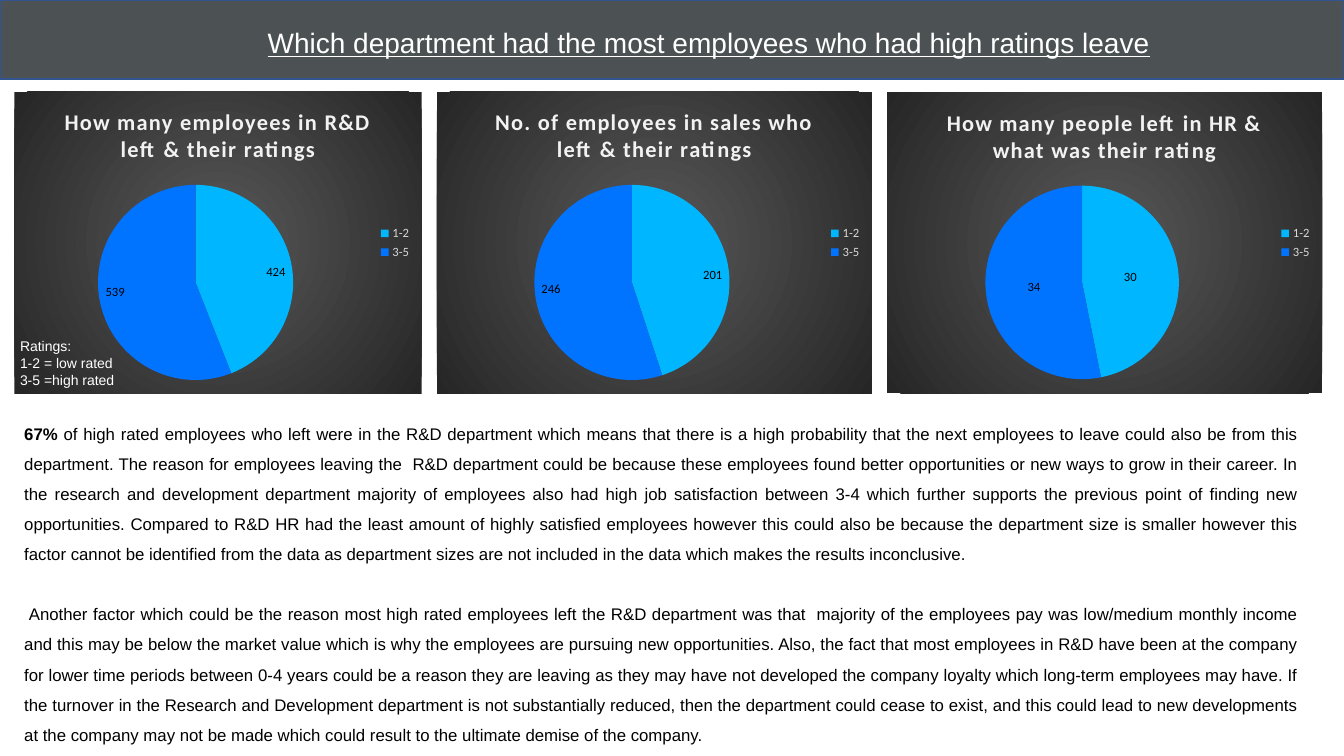
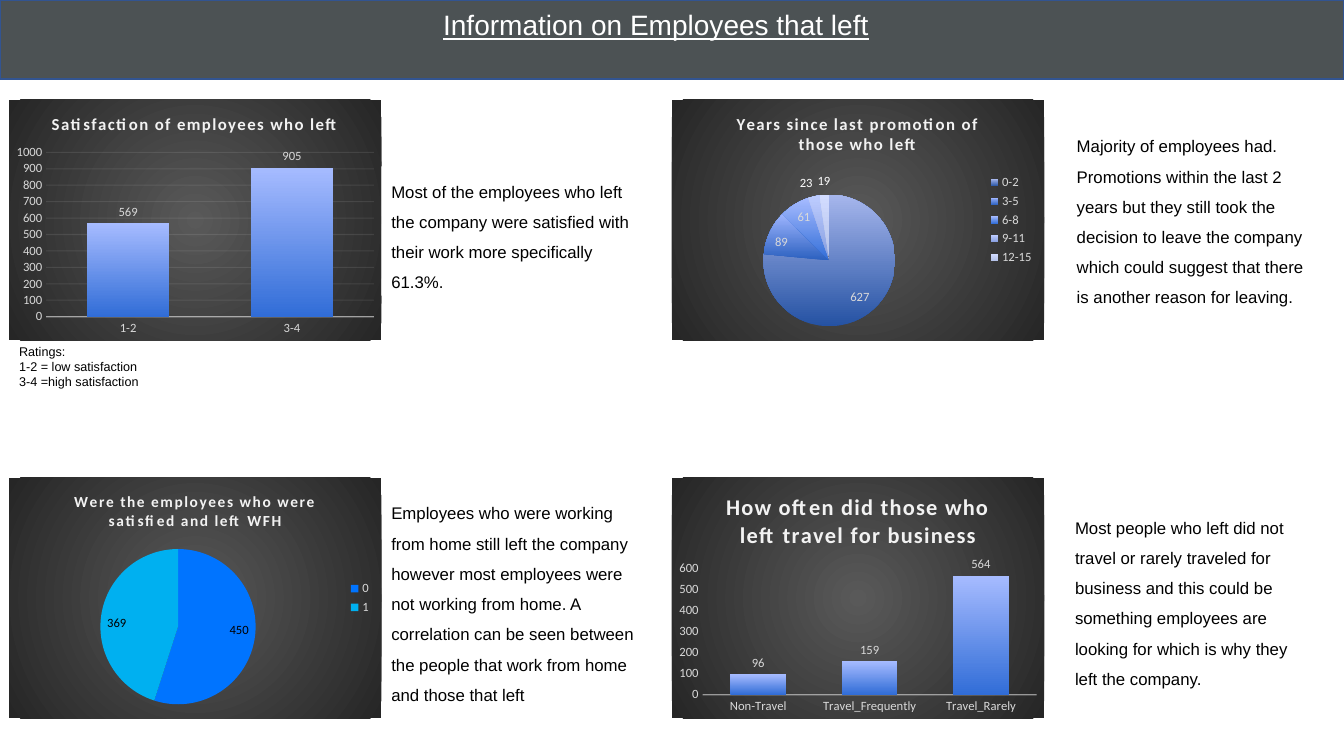
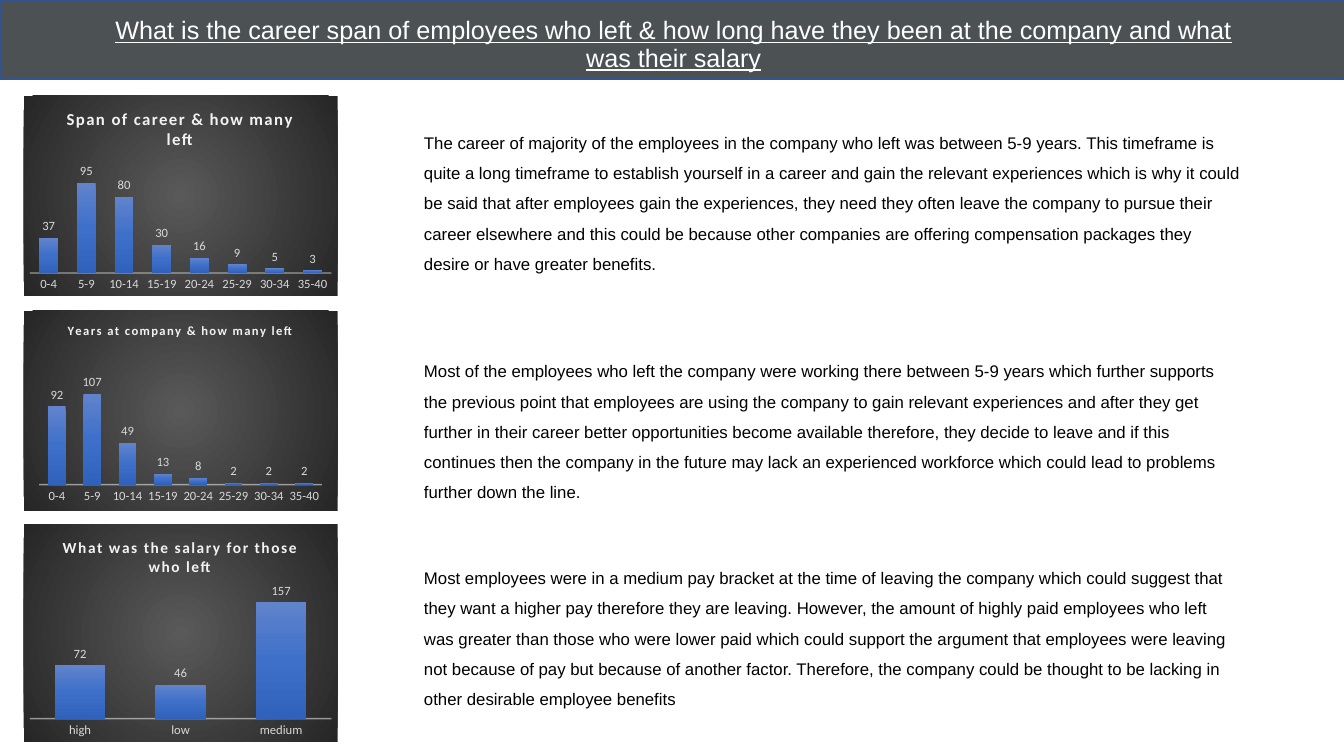
from dataclasses import dataclass

from lxml.etree import SubElement as Sub
from pptx import Presentation
from pptx.chart.data import CategoryChartData as Data
from pptx.dml.color import RGBColor as Rgb
from pptx.enum.chart import XL_CHART_TYPE as Kind
from pptx.enum.chart import XL_LABEL_POSITION as Spot
from pptx.enum.chart import XL_LEGEND_POSITION as Side
from pptx.enum.chart import XL_TICK_MARK as Tick
from pptx.enum.shapes import MSO_SHAPE as Form
from pptx.enum.text import MSO_ANCHOR as Anchor
from pptx.enum.text import MSO_AUTO_SIZE as Fit
from pptx.enum.text import PP_ALIGN as Align
from pptx.oxml.ns import qn
from pptx.util import Pt

SCALE = 7620  # EMU in a px, 120 px to the inch
WIDE, HIGH = 1600, 900
BAND, EDGE = "4C5254", "325491"
WHITE, BLACK, PALE, SOFT = "FFFFFF", "000000", "F2F2F2", "D9D9D9"
DARK = ("595959", "262626")
GLOW = ("316DD7", "A6BBFF")
STEEL = ("6183CB", "3E70CA", "3062BB")
SKY, BLUE, CYAN = "00B7FF", "0074FF", "00B0F0"
SHADES = (("2552A3", "A6B6EC"), ("2B60BF", "9DB4FE"), GLOW,
          ("859DDE", "BDCCFF"), ("B4C1E8", "D2DCFF"))
RATED = ("1-2", "3-5")
SPANS = ("0-4", "5-9", "10-14", "15-19", "20-24", "25-29", "30-34", "35-40")

Box = tuple[int, int, int, int]
Run = tuple[str, bool]


@dataclass
class Graph:
    title: str
    box: Box
    cats: tuple
    vals: tuple
    size: float = 16


@dataclass
class Pie(Graph):
    fills: tuple = (SKY, BLUE)
    ink: str = BLACK
    spot: Spot = Spot.INSIDE_END
    outer: tuple = ()


@dataclass
class Bars(Graph):
    top: int = 120
    step: int = 0
    grid: bool = False
    fill: tuple = STEEL
    angle: int = 90
    inner: tuple = ()


@dataclass
class Note:
    box: Box
    paras: list[list[Run]]
    size: float = 12
    ink: str = BLACK
    gap: float = 1.5
    align: Align = Align.LEFT
    before: float = 0
    fill: str = ""


@dataclass
class Page:
    title: str
    box: Box
    size: float
    graphs: list
    notes: list[Note]


def px(*nums: int) -> list[int]:
    return [num * SCALE for num in nums]


def tint(text: str) -> Rgb:
    return Rgb.from_string(text)


def style(font, size: float, ink: str, face: str = "Calibri", bold: bool = False) -> None:
    font.name, font.size, font.bold = face, Pt(size), bold
    font.color.rgb = tint(ink)


def blend(props, stops: tuple, angle: int | None = None) -> None:
    """Fill shape properties with a gradient, round when no angle is given."""
    grad = Sub(props, qn("a:gradFill"), rotWithShape="1")
    props.insert(0, grad)
    row = Sub(grad, qn("a:gsLst"))
    for num, stop in enumerate(stops):
        mark = Sub(row, qn("a:gs"), pos=str(100000 * num // (len(stops) - 1)))
        Sub(mark, qn("a:srgbClr"), val=stop)
    if angle is None:
        ring = Sub(grad, qn("a:path"), path="circle")
        Sub(ring, qn("a:fillToRect"), l="50000", t="50000", r="50000", b="50000")
    else:
        Sub(grad, qn("a:lin"), ang=str(angle * 60000), scaled="0")


def paint(part, fill: str | tuple, angle: int = 270) -> None:
    if isinstance(fill, str):
        part.fill.solid()
        part.fill.fore_color.rgb = tint(fill)
    else:
        blend(part._element.get_or_add_spPr(), fill, angle)


def rule(line, width: float, alpha: int) -> None:
    line.width = Pt(width)
    line.color.rgb = tint(PALE)
    Sub(line._ln.find(".//" + qn("a:srgbClr")), qn("a:alpha"), val=str(alpha * 1000))


def place(chart, inner: tuple) -> None:
    """Fix the inner plot area as shares of the chart."""
    area = chart._chartSpace.find(".//" + qn("c:plotArea"))
    old = area.find(qn("c:layout"))
    if old is not None:
        area.remove(old)
    lay = Sub(area, qn("c:layout"))
    area.insert(0, lay)
    man = Sub(lay, qn("c:manualLayout"))
    keys = ("layoutTarget", "xMode", "yMode", "x", "y", "w", "h")
    for key, val in zip(keys, ("inner", "edge", "edge", *inner)):
        Sub(man, qn("c:" + key), val=str(val))


def add_graph(slide, graph: Graph, kind: Kind):
    """Add what pies and bars share and return the chart."""
    data = Data()
    data.categories = graph.cats
    data.add_series("Series 1", graph.vals)
    chart = slide.shapes.add_chart(kind, *px(*graph.box), data).chart
    style(chart.font, 10, BLACK)
    chart.has_title = True
    run = chart.chart_title.text_frame.paragraphs[0].add_run()
    run.text = graph.title
    style(run.font, graph.size, PALE, bold=True)
    run.font._element.set("spc", "100")
    back = Sub(chart._chartSpace, qn("c:spPr"))
    chart._chartSpace.find(qn("c:chart")).addnext(back)
    blend(back, DARK)
    Sub(Sub(back, qn("a:ln")), qn("a:noFill"))
    chart.has_legend = False
    return chart


def label(chart, ink: str, spot: Spot) -> None:
    tags = chart.plots[0].series[0].data_labels
    tags.show_value = True
    tags.position = spot
    style(tags.font, 9, ink)


def add_pie(slide, pie: Pie) -> None:
    chart = add_graph(slide, pie, Kind.PIE)
    chart.has_legend = True
    chart.legend.position = Side.RIGHT
    chart.legend.include_in_layout = False
    style(chart.legend.font, 9, SOFT)
    chart.plots[0].vary_by_categories = True
    label(chart, pie.ink, pie.spot)
    points = chart.plots[0].series[0].points
    for num, fill in enumerate(pie.fills):
        paint(points[num].format, fill)
    for num in pie.outer:
        tag = points[num].data_label
        style(tag.font, 9, WHITE)
        tag.position = Spot.OUTSIDE_END


def add_bars(slide, bars: Bars) -> None:
    chart = add_graph(slide, bars, Kind.COLUMN_CLUSTERED)
    plot = chart.plots[0]
    plot.vary_by_categories = False
    plot.gap_width, plot.overlap = 100, -24
    paint(plot.series[0].format, bars.fill, bars.angle)
    label(chart, SOFT, Spot.OUTSIDE_END)
    base, rise = chart.category_axis, chart.value_axis
    for axis in (base, rise):
        axis.major_tick_mark = axis.minor_tick_mark = Tick.NONE
        style(axis.tick_labels.font, 9, SOFT)
    rule(base.format.line, 1, 54)
    rise.minimum_scale, rise.maximum_scale = 0, bars.top
    rise.has_major_gridlines = bars.grid
    if bars.grid:
        rule(rise.major_gridlines.format.line, 0.75, 10)
    rise.format.line.fill.background()
    if bars.step:
        rise.major_unit = bars.step
    else:
        rise.visible = False
    if bars.inner:
        place(chart, bars.inner)


def add_note(slide, note: Note) -> None:
    shape = slide.shapes.add_textbox(*px(*note.box))
    if note.fill:
        paint(shape, note.fill)
    frame = shape.text_frame
    frame.word_wrap = True
    for num, runs in enumerate(note.paras):
        para = frame.add_paragraph() if num else frame.paragraphs[0]
        para.alignment, para.line_spacing = note.align, note.gap
        para.space_before = Pt(note.before if num else 0)
        for text, bold in runs:
            run = para.add_run()
            run.text = text
            style(run.font, note.size, note.ink, "Arial", bold)


def add_head(slide, page: Page) -> None:
    band = slide.shapes.add_shape(Form.RECTANGLE, *px(0, 0, WIDE, 94))
    band.shadow.inherit = False
    paint(band, BAND)
    band.line.color.rgb, band.line.width = tint(EDGE), Pt(1)
    head = slide.shapes.title
    head._element.addprevious(band._element)
    head.left, head.top, head.width, head.height = px(*page.box)
    frame = head.text_frame
    frame.word_wrap, frame.auto_size = True, Fit.NONE
    frame.vertical_anchor = Anchor.MIDDLE
    para = frame.paragraphs[0]
    para.alignment, para.line_spacing = Align.CENTER, 0.9
    run = para.add_run()
    run.text = page.title
    style(run.font, page.size, WHITE, "Arial")
    run.font.underline = True


def plain(*lines: str) -> list[list[Run]]:
    return [[(line, False)] for line in lines]


def cell(col: int, row: int) -> Box:
    return 11 + 789 * col, 119 + 450 * row, 443, 286


LEAVE = [
    [("67% ", True), (
        "of high rated employees who left were in the R&D department which means that there is a high "
        "probability that the next employees to leave could also be from this department. The reason for "
        "employees leaving the  R&D department could be because these employees found better opportunities "
        "or new ways to grow in their career. In the research and development department majority of "
        "employees also had high job satisfaction between 3-4 which further supports the previous point of "
        "finding new opportunities. Compared to R&D HR had the least amount of highly satisfied employees "
        "however this could also be because the department size is smaller however this factor cannot be "
        "identified from the data as department sizes are not included in the data which makes the results "
        "inconclusive.", False)],
    [(
        " Another factor which could be the reason most high rated employees left the R&D department was "
        "that  majority of the employees pay was low/medium monthly income and this may be below the market "
        "value which is why the employees are pursuing new opportunities. Also, the fact that most employees "
        "in R&D have been at the company for lower time periods between 0-4 years could be a reason they are "
        "leaving as they may have not developed the company loyalty which long-term employees may have. If "
        "the turnover in the Research and Development department is not substantially reduced, then the "
        "department could cease to exist, and this could lead to new developments at the company may not be "
        "made which could result to the ultimate demise of the company.", False)],
]

PAGES = [
    Page("Which department had the most employees who had high ratings leave", (154, 14, 1380, 78), 20, [
        Pie("How many employees in R&D left & their ratings", (17, 109, 485, 360), RATED, (424, 539)),
        Pie("No. of employees in sales who left & their ratings", (520, 109, 518, 360), RATED, (201, 246)),
        Pie("How many people left in HR & what was their rating", (1056, 110, 518, 358), RATED, (30, 34),
            spot=Spot.CENTER),
    ], [
        Note((12, 396, 140, 73), plain("Ratings:", "1-2 = low rated", "3-5 =high rated"), 10, WHITE, 1),
        Note((17, 486, 1542, 408), LEAVE, align=Align.JUSTIFY, before=21),
    ]),
    Page("Information on Employees that left", (91, -11, 1380, 86), 20, [
        Bars("Satisfaction of employees who left", cell(0, 0), ("1-2", "3-4"), (569, 905), 12,
             top=1000, step=100, grid=True, fill=GLOW, angle=270),
        Pie("Years since last promotion of those who left", cell(1, 0),
            ("0-2", "3-5", "6-8", "9-11", "12-15"), (627, 89, 61, 23, 19), 12,
            fills=SHADES, ink=SOFT, outer=(3, 4)),
        Pie("Were the employees who were satisfied and left WFH", cell(0, 1), ("0", "1"), (450, 369), 11,
            fills=(BLUE, CYAN)),
        Bars("How often did those who left travel for business", cell(1, 1),
             ("Non-Travel", "Travel_Frequently", "Travel_Rarely"), (96, 159, 564),
             top=600, step=100, fill=GLOW, angle=270),
    ], [
        Note((454, 198, 320, 154), plain(
            "Most of the employees who left the company were satisfied with their work more specifically "
            "61.3%."), fill=WHITE),
        Note((1268, 598, 301, 227), plain(
            "Most people who left did not travel or rarely traveled for business and this could be something "
            "employees are looking for which is why they left the company.")),
        Note((1270, 144, 301, 227), plain(
            "Majority of employees had. Promotions within the last 2 years but they still took the decision "
            "to leave the company which could suggest that there is another reason for leaving."), fill=WHITE),
        Note((454, 581, 320, 262), plain(
            "Employees who were working from home still left the company however most employees were not "
            "working from home. A correlation can be seen between the people that work from home and those "
            "that left")),
        Note((11, 403, 175, 67), plain("Ratings:", "1-2 = low satisfaction", "3-4 =high satisfaction"),
             9, gap=1),
    ]),
    Page("What is the career span of employees who left & how long have they been at the company and what "
         "was their salary", (112, 0, 1380, 108), 18, [
        Bars("Span of career & how many left", (28, 114, 374, 238), SPANS,
             (37, 95, 80, 30, 16, 9, 5, 3), 12),
        Bars("Years at company & how many left", (28, 370, 374, 238), SPANS,
             (92, 107, 49, 13, 8, 2, 2, 2), 9, inner=(0.05, 0.36, 0.9, 0.51)),
        Bars("What was the salary for those who left", (28, 624, 374, 259), ("high", "low", "medium"),
             (72, 46, 157), 11, top=180),
    ], [
        Note((493, 140, 998, 190), plain(
            "The career of majority of the employees in the company who left was between 5-9 years. This "
            "timeframe is quite a long timeframe to establish yourself in a career and gain the relevant "
            "experiences which is why it could be said that after employees gain the experiences, they need "
            "they often leave the company to pursue their career elsewhere and this could be because other "
            "companies are offering compensation packages they desire or have greater benefits.")),
        Note((493, 412, 998, 190), plain(
            "Most of the employees who left the company were working there between 5-9 years which further "
            "supports the previous point that employees are using the company to gain relevant experiences "
            "and after they get further in their career better opportunities become available therefore, "
            "they decide to leave and if this continues then the company in the future may lack an "
            "experienced workforce which could lead to problems further down the line.")),
        Note((493, 658, 998, 190), plain(
            "Most employees were in a medium pay bracket at the time of leaving the company which could "
            "suggest that they want a higher pay therefore they are leaving. However, the amount of highly "
            "paid employees who left was greater than those who were lower paid which could support the "
            "argument that employees were leaving not because of pay but because of another factor. "
            "Therefore, the company could be thought to be lacking in other desirable employee benefits")),
    ]),
]


def main() -> None:
    deck = Presentation()
    deck.slide_width, deck.slide_height = px(WIDE, HIGH)
    for page in PAGES:
        slide = deck.slides.add_slide(deck.slide_layouts[5])
        add_head(slide, page)
        for graph in page.graphs:
            if isinstance(graph, Pie):
                add_pie(slide, graph)
            else:
                add_bars(slide, graph)
        for note in page.notes:
            add_note(slide, note)
    deck.save("out.pptx")


if __name__ == "__main__":
    main()
